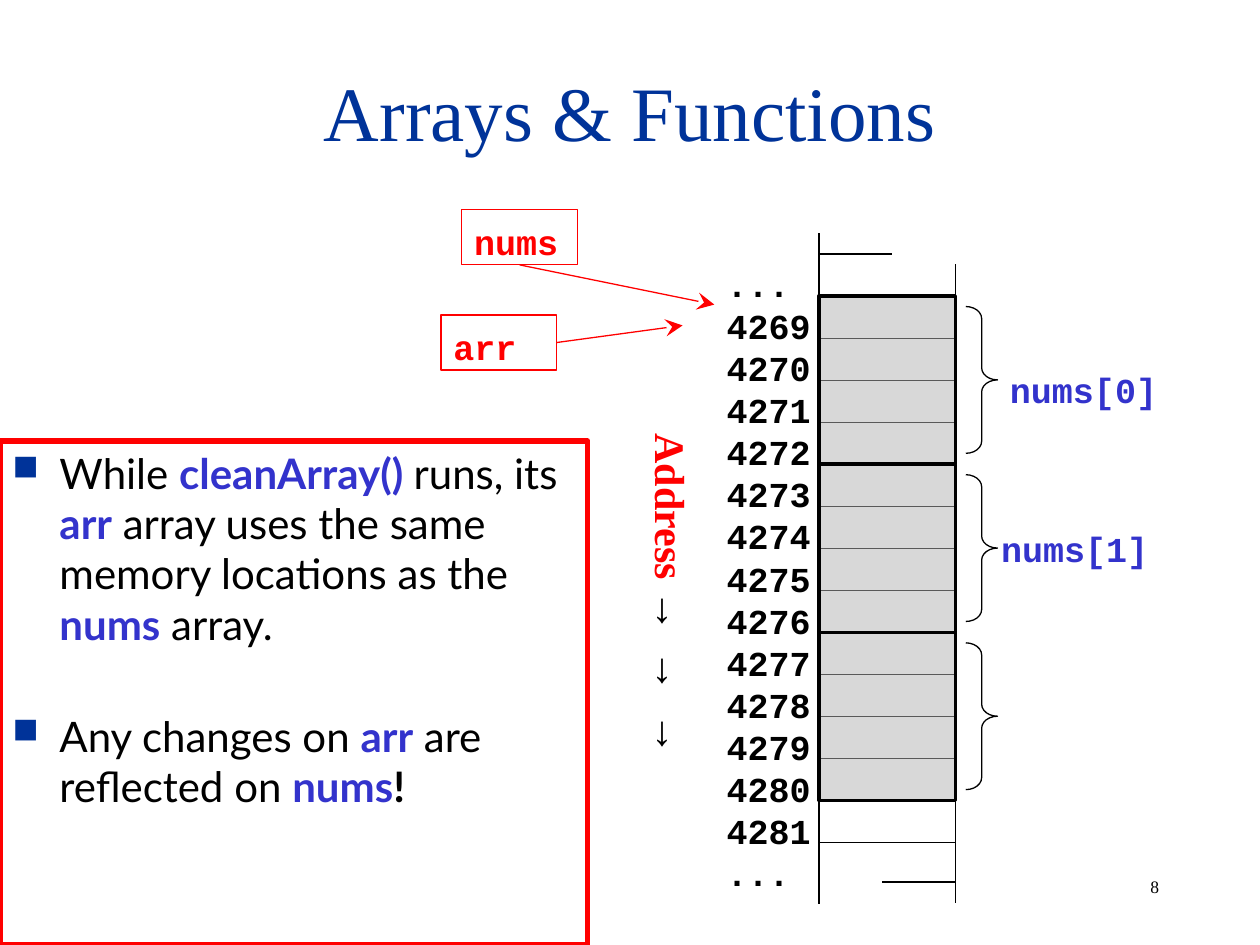
from lxml.etree import SubElement
from pptx import Presentation
from pptx.dml.color import RGBColor
from pptx.enum.shapes import MSO_CONNECTOR as Connector, MSO_SHAPE as Shape
from pptx.enum.text import MSO_ANCHOR as Anchor, PP_ALIGN as Align
from pptx.oxml.ns import qn
from pptx.util import Cm, Pt

color = RGBColor.from_string
BLACK, RED, BLUE, NAVY = "000000", "FF0000", "3333CC", "003399"
MONO, SERIF = "Courier New", "Times New Roman"


def write(shape, text, font, size, hex_color, bold=False):
    text_frame = shape.text_frame
    text_frame.word_wrap = True
    text_frame.vertical_anchor = Anchor.TOP
    text_frame.text = text
    paragraph = text_frame.paragraphs[0]
    paragraph.alignment = Align.LEFT
    if font == MONO:
        text_frame.margin_top = Cm(0.22)
        paragraph.line_spacing = Pt(24)
    for run in paragraph.runs:
        run.font.name = font
        run.font.size = Pt(size)
        run.font.bold = bold
        run.font.color.rgb = color(hex_color)
    return paragraph


def add_line(x1, y1, x2, y2, hex_color=BLACK):
    line = slide.shapes.add_connector(Connector.STRAIGHT, Cm(x1), Cm(y1), Cm(x2), Cm(y2))
    line.line.color.rgb = color(hex_color)
    line.line.width = Pt(0.75)
    SubElement(line._element.spPr, qn("a:effectLst"))
    return line


presentation = Presentation()
presentation.slide_width, presentation.slide_height = Cm(25.4), Cm(19.05)
slide = presentation.slides.add_slide(presentation.slide_layouts[6])

number = slide.shapes.add_textbox(Cm(22.94), Cm(17.53), Cm(1.98), Cm(0.69))
write(number, "8", SERIF, 10, BLACK)

title = slide.shapes.add_textbox(Cm(1.9), Cm(0.64), Cm(21.6), Cm(3.18))
write(title, "Arrays & Functions", SERIF, 44, NAVY).alignment = Align.CENTER
title.text_frame.vertical_anchor = Anchor.MIDDLE

addresses = slide.shapes.add_textbox(Cm(14.4), Cm(5.08), Cm(2.54), Cm(12.95))
address_lines = ["...", *map(str, range(4269, 4282)), "..."]
write(addresses, "\v".join(address_lines), MONO, 20, BLACK, True)

direction = slide.shapes.add_textbox(Cm(9.2), Cm(11.35), Cm(8.69), Cm(1.27))
direction.rotation = 90
paragraph = write(direction, "Address ", SERIF, 24, RED, True)
direction.text_frame.margin_left = Cm(1.1)
tabs = SubElement(paragraph._p.get_or_add_pPr(), qn("a:tabLst"))
for stop in (4.37, 5.64):
    SubElement(tabs, qn("a:tab"), pos=str(Cm(stop)), algn="l")
arrows = paragraph.add_run()
arrows.text = "→\t→\t→"
arrows.font.name = "Arial"
arrows.font.size = Pt(24)
arrows.font.color.rgb = color(BLACK)

left, right, top = 16.51, 19.26, 5.97
block = 3.39
row = block / 4
add_line(right, 5.33, right, 18.2)
add_line(left, 4.7, left, 18.23)
for index in range(14):
    add_line(left, top + index * row, right, top + index * row)
add_line(17.78, 17.78, right, 17.78)
add_line(left, top - row, 17.99, top - row)

for index in range(3):
    block_top = top + index * block
    cell = slide.shapes.add_shape(Shape.RECTANGLE, Cm(left), Cm(block_top), Cm(right - left), Cm(block))
    cell.shadow.inherit = False
    cell.fill.solid()
    cell.fill.fore_color.rgb = color("B2B2B2")
    fill_color = cell._element.spPr.find(qn("a:solidFill"))[0]
    SubElement(fill_color, qn("a:alpha"), val="50000")
    cell.line.color.rgb = color(BLACK)
    cell.line.width = Pt(2)

    brace = slide.shapes.add_shape(Shape.RIGHT_BRACE, Cm(19.47), Cm(block_top + 0.21), Cm(0.64), Cm(2.96))
    brace.adjustments[0] = 0.38
    brace.shadow.inherit = False
    brace.fill.background()
    brace.line.color.rgb = color(BLACK)
    brace.line.width = Pt(0.75)

for text, x, y in (("nums[0]", 20.11, 7.2), ("nums[1]", 19.93, 10.42)):
    label = slide.shapes.add_textbox(Cm(x), Cm(y), Cm(4.43), Cm(1.11))
    write(label, text, MONO, 20, BLUE, True)

pointers = (
    ("nums", 9.31, 4.23, 2, 14.4, 6.14),
    ("arr", 8.89, 6.35, 3, 13.76, 6.56),
)
for text, x, y, side, end_x, end_y in pointers:
    box = slide.shapes.add_shape(Shape.RECTANGLE, Cm(x), Cm(y), Cm(2.33), Cm(1.11))
    box.shadow.inherit = False
    box.fill.background()
    box.line.color.rgb = color(RED)
    box.line.width = Pt(0.75)
    write(box, text, MONO, 20, RED, True)
    arrow = add_line(x, y, end_x, end_y, RED)
    arrow.begin_connect(box, side)
    SubElement(arrow.line._get_or_add_ln(), qn("a:tailEnd"), type="stealth", w="lg", len="lg")

note = slide.shapes.add_shape(Shape.RECTANGLE, Cm(0), Cm(8.89), Cm(11.85), Cm(10.16))
note.shadow.inherit = False
note.fill.background()
note.line.color.rgb = color(RED)
note.line.width = Pt(3)
text_frame = note.text_frame
text_frame.word_wrap = True
text_frame.vertical_anchor = Anchor.TOP
bullets = (
    (("While ", BLACK, False), ("cleanArray() ", BLUE, True), ("runs, its ", BLACK, False),
     ("arr", BLUE, True), (" array uses the same memory locations as the ", BLACK, False),
     ("nums", BLUE, True), (" array.", BLACK, False)),
    (("Any changes on ", BLACK, False), ("arr", BLUE, True), (" are reflected on ", BLACK, False),
     ("nums", BLUE, True), ("!", BLACK, True)),
)
for index, pieces in enumerate(bullets):
    paragraph = text_frame.add_paragraph() if index else text_frame.paragraphs[0]
    properties = paragraph._p.get_or_add_pPr()
    properties.set("marL", str(Cm(0.95)))
    properties.set("indent", str(Cm(-0.95)))
    SubElement(SubElement(properties, qn("a:buClr")), qn("a:srgbClr"), val=NAVY)
    SubElement(properties, qn("a:buSzPct"), val="85000")
    SubElement(properties, qn("a:buChar"), char="■")
    paragraph.alignment = Align.LEFT
    if index:
        paragraph.space_before = Pt(35)
    for text, hex_color, bold in pieces:
        run = paragraph.add_run()
        run.text = text
        run.font.name = "Lato"
        run.font.size = Pt(24)
        run.font.bold = bold
        run.font.color.rgb = color(hex_color)

presentation.save("out.pptx")
